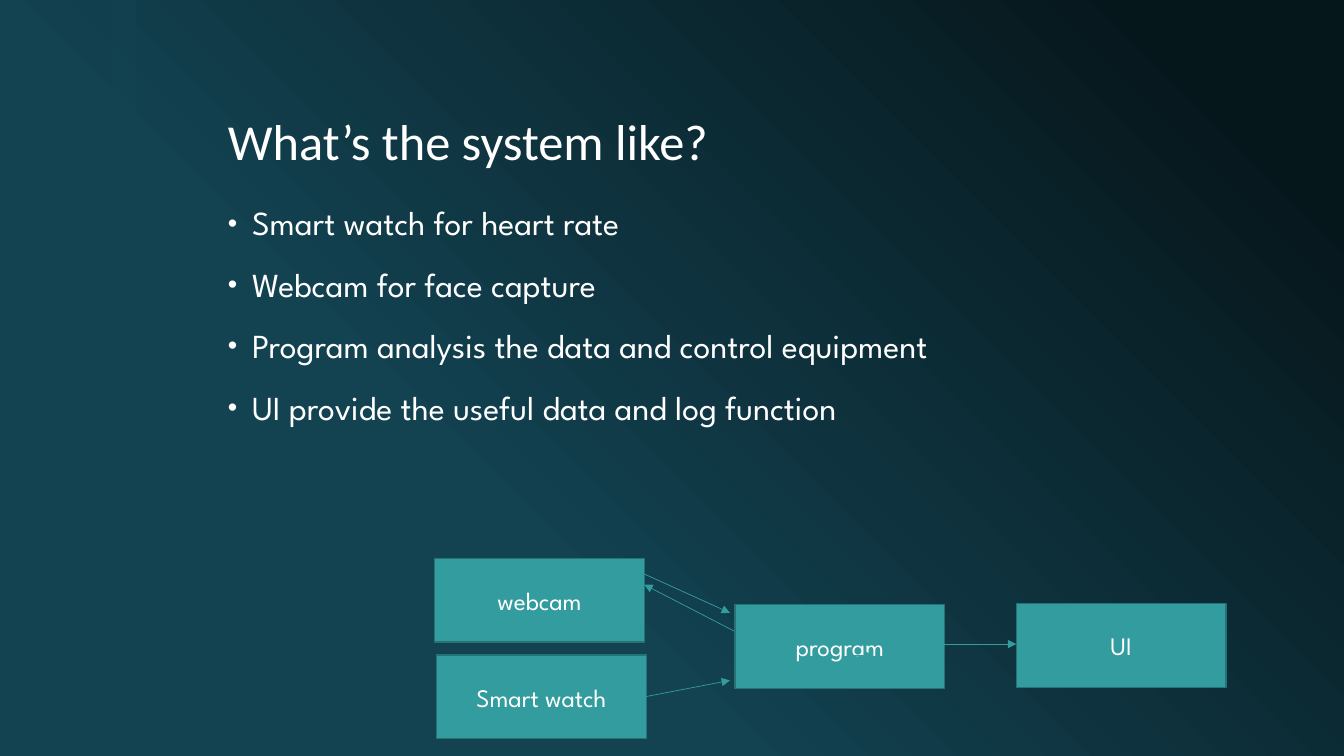
from lxml import etree
from pptx import Presentation
from pptx.dml.color import RGBColor
from pptx.enum.shapes import MSO_CONNECTOR, MSO_SHAPE
from pptx.enum.text import MSO_ANCHOR, MSO_AUTO_SIZE, PP_ALIGN
from pptx.oxml.ns import qn
from pptx.util import Inches, Pt

RECT, STRAIGHT = MSO_SHAPE.RECTANGLE, MSO_CONNECTOR.STRAIGHT
TOP, MIDDLE, BOTTOM = MSO_ANCHOR.TOP, MSO_ANCHOR.MIDDLE, MSO_ANCHOR.BOTTOM
LEFT, CENTER = PP_ALIGN.LEFT, PP_ALIGN.CENTER
NO_FIT = MSO_AUTO_SIZE.NONE

COLORS = {"night": "06171C", "deep": "134251", "teal": "339C9F",
          "edge": "267376", "text": "FFFFFF"}
HEAD_FONT, BODY_FONT = "Calibri", "League Spartan"

BULLETS = ["Smart watch for heart rate",
           "Webcam for face capture",
           "Program analysis the data and control equipment",
           "UI provide the useful data and log function"]

# Offsets in inches from the diagram's top left corner
NODE_W, NODE_H = 2.08, 0.83
NODES = [("webcam", 0, 0), ("Smart watch", 0.02, 0.96),
         ("program", 2.98, 0.46), ("UI", 5.77, 0.45)]
ARROWS = [((2.07, 0.15), (2.93, 0.54)),   # webcam to program
          ((2.1, 1.37), (2.93, 1.21)),    # smart watch to program
          ((2.97, 0.72), (2.08, 0.26)),   # program back to webcam
          ((5.03, 0.85), (5.77, 0.85)),   # program to UI
          ((4.11, 0.96), (4.35, 0.96))]   # short arrow inside program


def rgb(name):
    """Return the named colour."""
    return RGBColor.from_string(COLORS[name])


def add_run(p, text, size, font):
    """Add one formatted white run to a paragraph."""
    r = p.add_run()
    r.text = text
    r.font.size, r.font.name = Pt(size), font
    r.font.color.rgb = rgb("text")


def place(sp, box, anchor):
    """Move a placeholder into the box and return its text frame."""
    sp.left, sp.top, sp.width, sp.height = map(Inches, box)
    tf = sp.text_frame
    tf.word_wrap, tf.auto_size, tf.vertical_anchor = True, NO_FIT, anchor
    return tf


def add_rect(s, box, fill):
    """Add a plain filled rectangle without a shadow."""
    sp = s.shapes.add_shape(RECT, *map(Inches, box))
    sp.shadow.inherit = False
    sp.fill.solid()
    sp.fill.fore_color.rgb = rgb(fill)
    return sp


def add_backdrop(s, strip_box):
    """Paint the diagonal gradient and the translucent strip."""
    fill = s.background.fill
    fill.gradient()
    fill.gradient_angle = 225
    for stop, (name, pos) in zip(fill.gradient_stops,
                                 [("night", 0.1), ("deep", 0.65)]):
        stop.color.rgb, stop.position = rgb(name), pos
    strip = add_rect(s, strip_box, "deep")
    strip.line.fill.background()
    color = strip.fill._xPr.find(".//" + qn("a:srgbClr"))
    etree.SubElement(color, qn("a:alpha"), val="60000")


def fill_title(s, box, text):
    """Write the slide title."""
    p = place(s.shapes.title, box, BOTTOM).paragraphs[0]
    p.alignment, p.line_spacing = LEFT, 0.9
    add_run(p, text, 36, HEAD_FONT)


def fill_list(s, box, items):
    """Write the bulleted list."""
    tf = place(s.placeholders[1], box, TOP)
    for i, item in enumerate(items):
        p = tf.add_paragraph() if i else tf.paragraphs[0]
        p.alignment, p.line_spacing = LEFT, 0.9
        p.space_before, p.space_after = Pt(18), Pt(0)
        pPr = p._p.get_or_add_pPr()
        pPr.set("marL", str(Inches(0.24)))
        pPr.set("indent", str(Inches(-0.24)))
        etree.SubElement(pPr, qn("a:buSzPct"), val="80000")
        etree.SubElement(pPr, qn("a:buFont"), typeface="Arial")
        etree.SubElement(pPr, qn("a:buChar"), char="•")
        add_run(p, item, 24, BODY_FONT)


def add_node(s, box, label):
    """Add one labelled box of the diagram."""
    sp = add_rect(s, box, "teal")
    sp.line.color.rgb, sp.line.width = rgb("edge"), Pt(1)
    tf = sp.text_frame
    tf.word_wrap, tf.vertical_anchor = True, MIDDLE
    p = tf.paragraphs[0]
    p.alignment = CENTER
    add_run(p, label, 18, BODY_FONT)


def add_arrow(s, start, end):
    """Add a thin arrow pointing at its end."""
    c = s.shapes.add_connector(STRAIGHT, *map(Inches, (*start, *end)))
    c.line.color.rgb, c.line.width = rgb("teal"), Pt(0.5)
    etree.SubElement(c.line._get_or_add_ln(), qn("a:tailEnd"), type="triangle")
    etree.SubElement(c._element.spPr, qn("a:effectLst"))


def add_diagram(s, left, top):
    """Draw the data flow from the given top left corner."""
    for label, x, y in NODES:
        add_node(s, (left + x, top + y, NODE_W, NODE_H), label)
    for ends in ARROWS:
        add_arrow(s, *[(left + x, top + y) for x, y in ends])


def build_system_slide(prs):
    """Build the system overview slide."""
    s = prs.slides.add_slide(prs.slide_layouts[1])
    add_backdrop(s, (1.1, 0, 0.25, 7.5))
    fill_title(s, (2.16, 0.42, 10, 1.33), "What’s the system like?")
    fill_list(s, (2.16, 2, 10, 4.83), BULLETS)
    add_diagram(s, 4.31, 5.54)


prs = Presentation()
prs.slide_width, prs.slide_height = Inches(13.33), Inches(7.5)
build_system_slide(prs)
prs.save("out.pptx")
